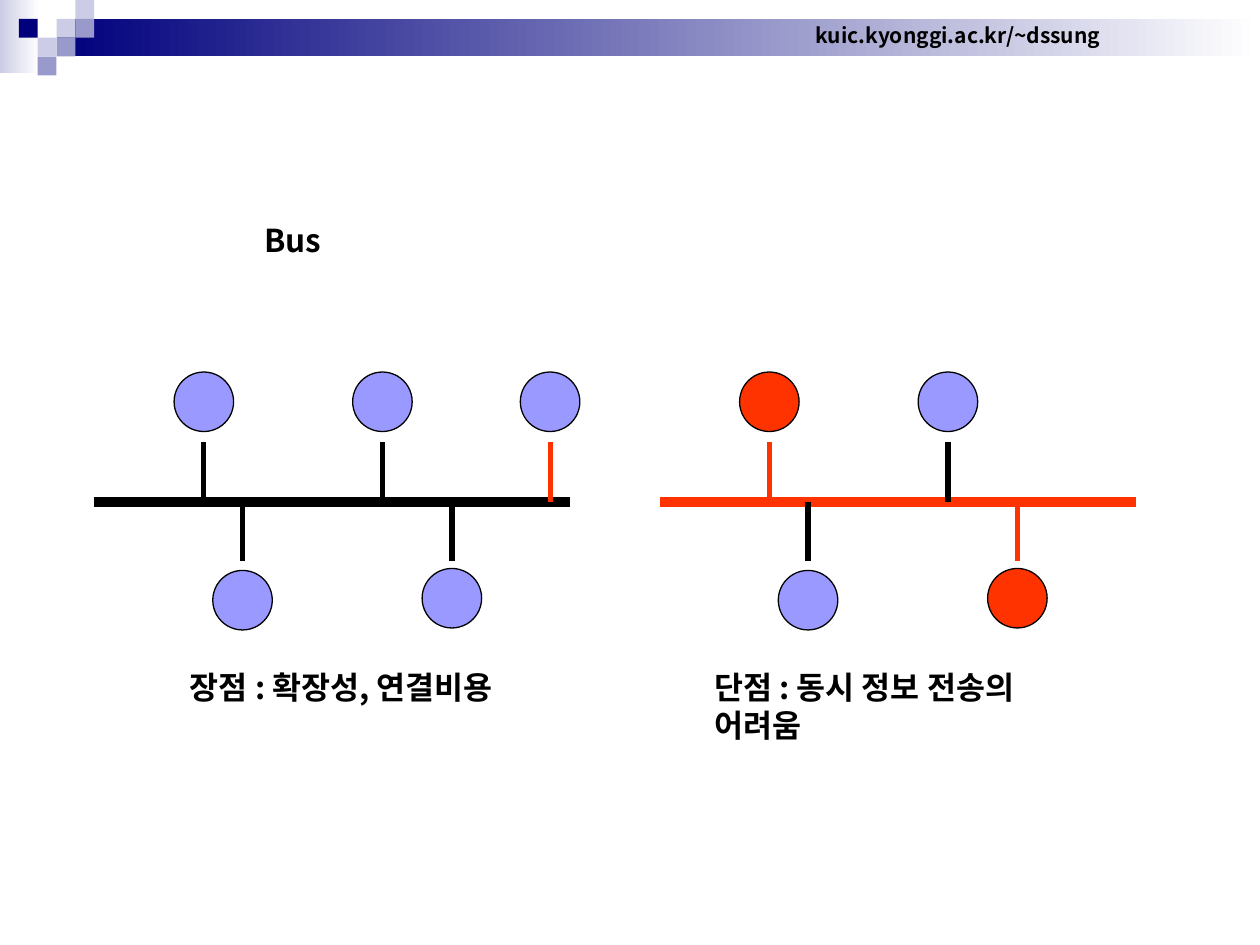
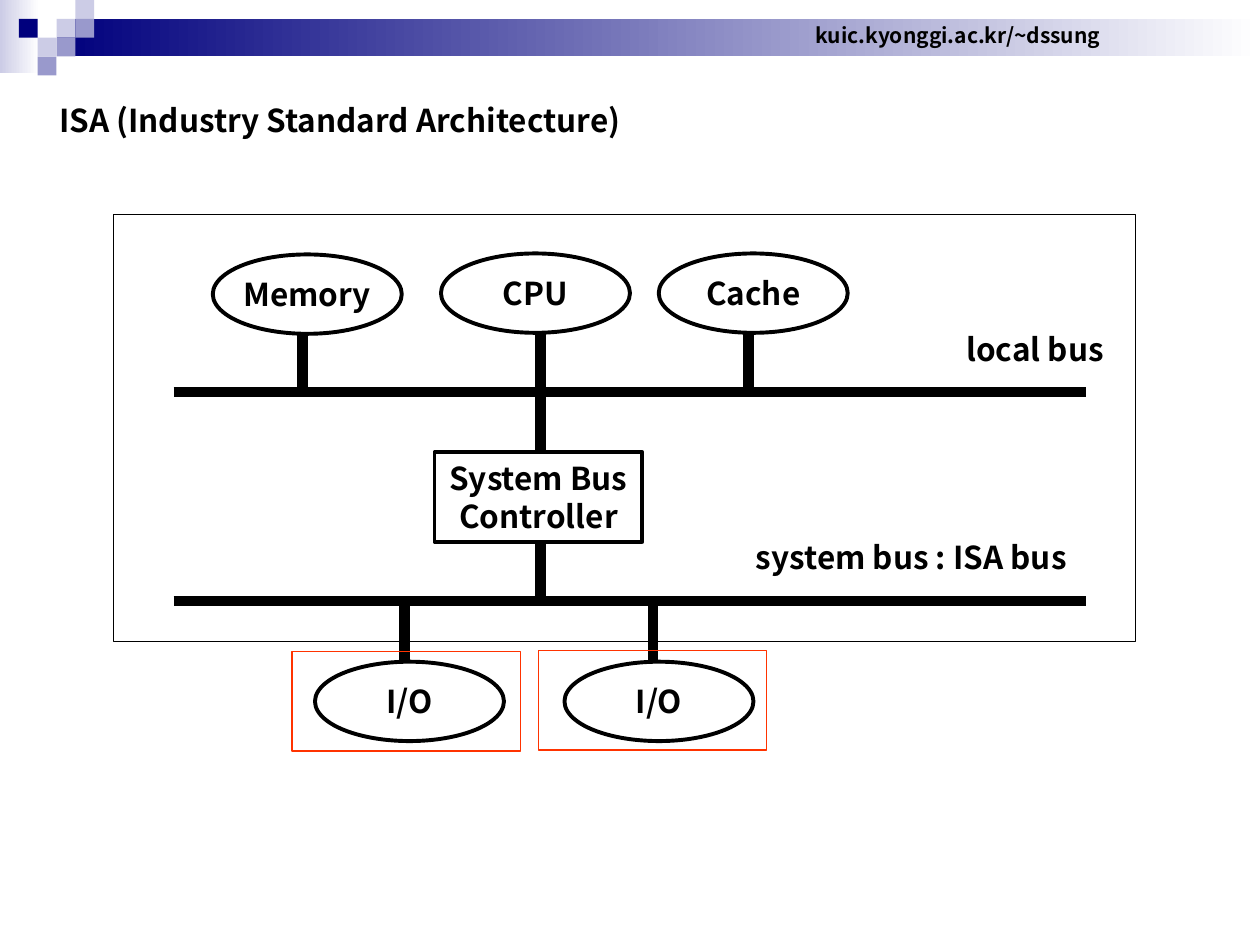
from lxml.etree import SubElement
from pptx import Presentation
from pptx.dml.color import RGBColor
from pptx.enum.shapes import MSO_CONNECTOR, MSO_SHAPE
from pptx.enum.text import MSO_ANCHOR, MSO_AUTO_SIZE, PP_ALIGN
from pptx.oxml.ns import qn
from pptx.util import Cm, Pt

RECTANGLE, OVAL = MSO_SHAPE.RECTANGLE, MSO_SHAPE.OVAL
STRAIGHT = MSO_CONNECTOR.STRAIGHT
TOP, MIDDLE = MSO_ANCHOR.TOP, MSO_ANCHOR.MIDDLE
LEFT, CENTER = PP_ALIGN.LEFT, PP_ALIGN.CENTER
NO_RESIZE = MSO_AUTO_SIZE.NONE

FONT = "Noto Sans CJK KR"
COLORS = {
    "black": "000000",
    "white": "FFFFFF",
    "navy": "00007D",
    "lavender": "CCCCE6",
    "violet": "9999CC",
    "node": "9999FF",
    "red": "FF3300",
}
PALETTE = {name: RGBColor.from_string(value) for name, value in COLORS.items()}


def write(shape, text, size=18, align=LEFT, anchor=TOP, wrap=False):
    frame = shape.text_frame
    frame.auto_size = NO_RESIZE
    frame.word_wrap = wrap
    frame.vertical_anchor = anchor
    frame.margin_left = frame.margin_right = Cm(0.25)
    frame.margin_top = frame.margin_bottom = Cm(0.13)
    frame.text = text
    for para in frame.paragraphs:
        para.alignment = align
        for span in para.runs:
            span.font.size = Pt(size)
            span.font.bold = True
            span.font.color.rgb = PALETTE["black"]
            span.font.name = FONT
            SubElement(span._r.get_or_add_rPr(), qn("a:ea"), typeface=FONT)


def add_shape(page, kind, place, fill=None, line=None, width=0.75):
    shape = page.shapes.add_shape(kind, *map(Cm, place))
    shape.shadow.inherit = False
    if fill:
        shape.fill.solid()
        shape.fill.fore_color.rgb = PALETTE[fill]
    else:
        shape.fill.background()
    if line:
        shape.line.color.rgb = PALETTE[line]
        shape.line.width = Pt(width)
    else:
        shape.line.fill.background()
    return shape


deck = Presentation()
deck.slide_width, deck.slide_height = Cm(25.4), Cm(19.05)
layout = deck.slide_layouts[5]
for holder in list(layout.placeholders)[1:]:
    holder.element.getparent().remove(holder.element)

pages = []
titles = [
    ("Bus", (5.08, 4.32, 2.2, 1.02)),
    ("ISA (Industry Standard Architecture)", (0.94, 1.9, 12.5, 1.02)),
]
for text, place in titles:
    page = deck.slides.add_slide(layout)
    title = page.shapes.title
    title.left, title.top, title.width, title.height = map(Cm, place)
    write(title, text, wrap=True)
    pages.append(page)
topology_page, isa_page = pages

band = []
for place, color in [
    ((0, 0, 0.79, 1.47), "lavender"),
    ((1.14, 0.38, 24.26, 0.76), "navy"),
]:
    box = add_shape(topology_page, RECTANGLE, place)
    box.fill.gradient()
    box.fill.gradient_angle = 180
    start, end = box.fill.gradient_stops
    start.position, end.position = 0, 1
    start.color.rgb, end.color.rgb = PALETTE["white"], PALETTE[color]
    band.append(box)

CELL = 0.38
for column, row, color in [
    (3, 1, "lavender"),
    (4, 0, "lavender"),
    (4, 1, "violet"),
    (2, 2, "lavender"),
    (1, 1, "navy"),
    (3, 2, "violet"),
    (2, 3, "violet"),
]:
    place = (column * CELL, row * CELL, CELL, CELL)
    band.append(add_shape(topology_page, RECTANGLE, place, color))

address = topology_page.shapes.add_textbox(Cm(16.18), Cm(0.33), Cm(6.27), Cm(0.76))
write(address, "kuic.kyonggi.ac.kr/~dssung", size=12, align=CENTER, anchor=MIDDLE)
band.append(address)
for shape in band:
    layout.element.cSld.spTree.append(shape.element)

NODE_SIZE = 1.2
BUS_Y = 10.12
UPPER_Y = 7.5
networks = [
    (0, "black", [
        (3.51, UPPER_Y, "node", "black"),
        (7.11, UPPER_Y, "node", "black"),
        (10.49, UPPER_Y, "node", "red"),
        (4.29, 11.5, "node", "black"),
        (8.51, 11.46, "node", "black"),
    ]),
    (11.4, "red", [
        (3.51, UPPER_Y, "red", "red"),
        (7.11, UPPER_Y, "node", "black"),
        (4.29, 11.5, "node", "black"),
        (8.51, 11.46, "red", "red"),
    ]),
]
lines = []
for shift, bus_color, nodes in networks:
    lines.append((topology_page, 1.9 + shift, BUS_Y, 11.5 + shift, BUS_Y, bus_color, 6))
    for left, top, fill, stub_color in nodes:
        place = (left + shift, top, NODE_SIZE, NODE_SIZE)
        add_shape(topology_page, OVAL, place, fill, "black")
        center = left + shift + NODE_SIZE / 2
        stub_end = BUS_Y + (-1.2 if top == UPPER_Y else 1.2)
        lines.append((topology_page, center, BUS_Y, center, stub_end, stub_color, 3))

LOCAL_Y, SYSTEM_Y = 7.9, 12.12
for bus_y in (LOCAL_Y, SYSTEM_Y):
    lines.append((isa_page, 3.5, bus_y, 21.9, bus_y, "black", 6))
for x, top, bottom in [
    (6.1, 6.72, LOCAL_Y),
    (10.9, 6.72, 9.12),
    (15.09, 6.72, LOCAL_Y),
    (10.9, 10.92, SYSTEM_Y),
    (8.15, SYSTEM_Y, 13.32),
    (13.16, SYSTEM_Y, 13.32),
]:
    lines.append((isa_page, x, top, x, bottom, "black", 6))

for page, x1, y1, x2, y2, color, width in lines:
    line = page.shapes.add_connector(STRAIGHT, Cm(x1), Cm(y1), Cm(x2), Cm(y2))
    line.line.color.rgb = PALETTE[color]
    line.line.width = Pt(width)
    SubElement(line.element.spPr, qn("a:effectLst"))

for text, left, top in [
    ("Memory", 4.29, 5.13),
    ("CPU", 8.89, 5.11),
    ("Cache", 13.28, 5.11),
    ("I/O", 6.35, 13.34),
    ("I/O", 11.38, 13.34),
]:
    unit = add_shape(isa_page, OVAL, (left, top, 3.81, 1.6), "white", "black", 2.25)
    write(unit, text, align=CENTER, anchor=MIDDLE)

controller = add_shape(isa_page, RECTANGLE, (8.76, 9.12, 4.19, 1.8), None, "black", 2.25)
write(controller, "System Bus\nController", align=CENTER, anchor=MIDDLE)

for place, color in [
    ((2.29, 4.32, 20.6, 8.61), "black"),
    ((5.89, 13.13, 4.6, 2.01), "red"),
    ((10.85, 13.11, 4.6, 2.01), "red"),
]:
    add_shape(isa_page, RECTANGLE, place, line=color)

for page, text, left, top, width, height, wrap in [
    (topology_page, "장점 : 확장성, 연결비용", 3.58, 13.34, 7.6, 1.02, True),
    (topology_page, "단점 : 동시 정보 전송의 어려움", 14.15, 13.34, 7.6, 1.8, True),
    (isa_page, "local bus", 19.23, 6.53, 3.3, 1.02, False),
    (isa_page, "system bus : ISA bus", 14.99, 10.72, 6.91, 1.02, False),
]:
    label = page.shapes.add_textbox(Cm(left), Cm(top), Cm(width), Cm(height))
    write(label, text, wrap=wrap)

deck.save("out.pptx")
